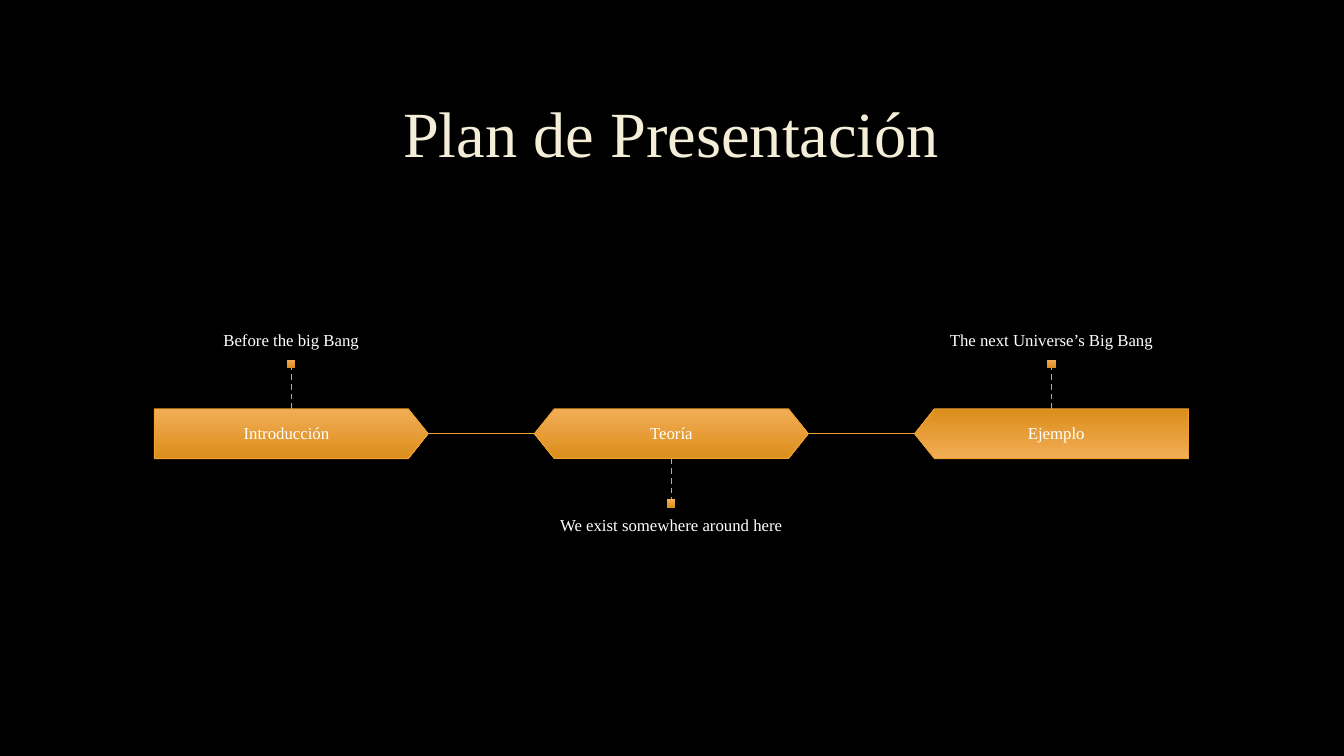
from lxml.etree import SubElement
from pptx import Presentation
from pptx.dml.color import RGBColor
from pptx.enum.dml import MSO_LINE
from pptx.enum.shapes import MSO_CONNECTOR, MSO_SHAPE
from pptx.enum.text import MSO_ANCHOR, PP_ALIGN
from pptx.oxml.ns import qn
from pptx.util import Cm, Pt


def color(value):
    return RGBColor.from_string(value)


class TimelineSlide:
    font_name = "Times New Roman"
    accent = "F0A22E"
    gradient = ("F2AD56", "DB8E1B")
    label_format = {"size": Pt(12), "color": "FFFFFF"}
    title_format = {"size": Pt(46), "color": "F4EDD8"}

    def __init__(self, presentation, background):
        self.slide = presentation.slides.add_slide(presentation.slide_layouts[5])
        self.slide.background.fill.solid()
        self.slide.background.fill.fore_color.rgb = color(background)

    def set_text(self, shape, text, style, anchor, margins):
        frame = shape.text_frame
        horizontal, vertical = margins
        settings = {
            "word_wrap": True, "vertical_anchor": anchor,
            "margin_left": Cm(horizontal), "margin_right": Cm(horizontal),
            "margin_top": Cm(vertical), "margin_bottom": Cm(vertical),
        }
        for name, value in settings.items():
            setattr(frame, name, value)
        paragraph = frame.paragraphs[0]
        paragraph.alignment = PP_ALIGN.CENTER
        paragraph.line_spacing = 0.9
        run = paragraph.add_run()
        run.text = text
        font_values = {"name": self.font_name, "size": style["size"], "bold": False}
        for name, value in font_values.items():
            setattr(run.font, name, value)
        run.font.color.rgb = color(style["color"])

    def title(self, text, left, top, width, height):
        shape = self.slide.shapes.title
        position = {"left": left, "top": top, "width": width, "height": height}
        for name, value in position.items():
            setattr(shape, name, Cm(value))
        self.set_text(shape, text, self.title_format, MSO_ANCHOR.MIDDLE, (0.25, 0.13))

    def label(self, text, left, top, width, height, anchor, margins):
        box = self.slide.shapes.add_textbox(Cm(left), Cm(top), Cm(width), Cm(height))
        self.set_text(box, text, self.label_format, anchor, margins)

    def block(self, kind, left, top, width, height, outlined=False):
        shape = self.slide.shapes.add_shape(
            kind, Cm(left), Cm(top), Cm(width), Cm(height))
        shape.shadow.inherit = False
        shape.fill.gradient()
        shape.fill.gradient_angle = 270
        for stop, value, place in zip(shape.fill.gradient_stops, self.gradient, (0, 1)):
            stop.color.rgb = color(value)
            stop.position = place
        if outlined:
            shape.line.color.rgb = color(self.accent)
            shape.line.width = Pt(0.75)
        else:
            shape.line.fill.background()
        return shape

    def line(self, start, end, width, dash=None):
        connector = self.slide.shapes.add_connector(
            MSO_CONNECTOR.STRAIGHT, *(Cm(value) for value in start + end))
        connector.line.color.rgb = color(self.accent)
        connector.line.width = Pt(width)
        if dash:
            connector.line.dash_style = dash
        SubElement(connector._element.spPr, qn("a:effectLst"))


def main():
    presentation = Presentation()
    presentation.slide_width = Cm(33.87)
    presentation.slide_height = Cm(19.05)
    timeline = TimelineSlide(presentation, "000000")
    timeline.title("Plan de Presentación", 2.54, 1.7, 28.75, 3.5)

    # Stage: name, caption, banner shape, rotation, name offset, side (-1 above, 1 below)
    stages = [
        ("Introducción", "Before the big Bang", MSO_SHAPE.PENTAGON, 0, -0.12, -1),
        ("Teoría", "We exist somewhere around here", MSO_SHAPE.HEXAGON, 0, 0, 1),
        ("Ejemplo", "The next Universe’s Big Bang", MSO_SHAPE.PENTAGON, 180, 0.12, -1),
    ]
    first_center, pitch, axis = 7.34, 9.58, 10.93
    banner_width, banner_height = 6.9, 1.25
    stem, dot, caption_height = 1.03, 0.21, 3.3

    for index, (name, caption, kind, rotation, offset, side) in enumerate(stages):
        center = first_center + index * pitch
        left, top = center - banner_width / 2, axis - banner_height / 2

        # Banner with its name
        banner = timeline.block(kind, left, top, banner_width, banner_height, True)
        banner.adjustments[0] = 0.4
        banner.rotation = rotation
        timeline.label(name, left + offset, top, banner_width, banner_height,
                       MSO_ANCHOR.MIDDLE, (0.25, 0.25))

        # Link to the next banner
        if index < len(stages) - 1:
            timeline.line((left + banner_width, axis), (left + pitch, axis), 0.75)

        # Dashed stem, end dot and caption
        edge = axis + side * banner_height / 2
        tip = edge + side * stem
        far = tip + side * dot
        timeline.line((center, edge), (center, tip), 1, MSO_LINE.DASH)
        timeline.block(MSO_SHAPE.RECTANGLE, center - dot / 2, min(tip, far), dot, dot)
        anchor = MSO_ANCHOR.BOTTOM if side < 0 else MSO_ANCHOR.TOP
        caption_top = far - caption_height if side < 0 else far
        timeline.label(caption, center - pitch / 2, caption_top, pitch,
                       caption_height, anchor, (0, 0.3))

    presentation.save("out.pptx")


if __name__ == "__main__":
    main()
